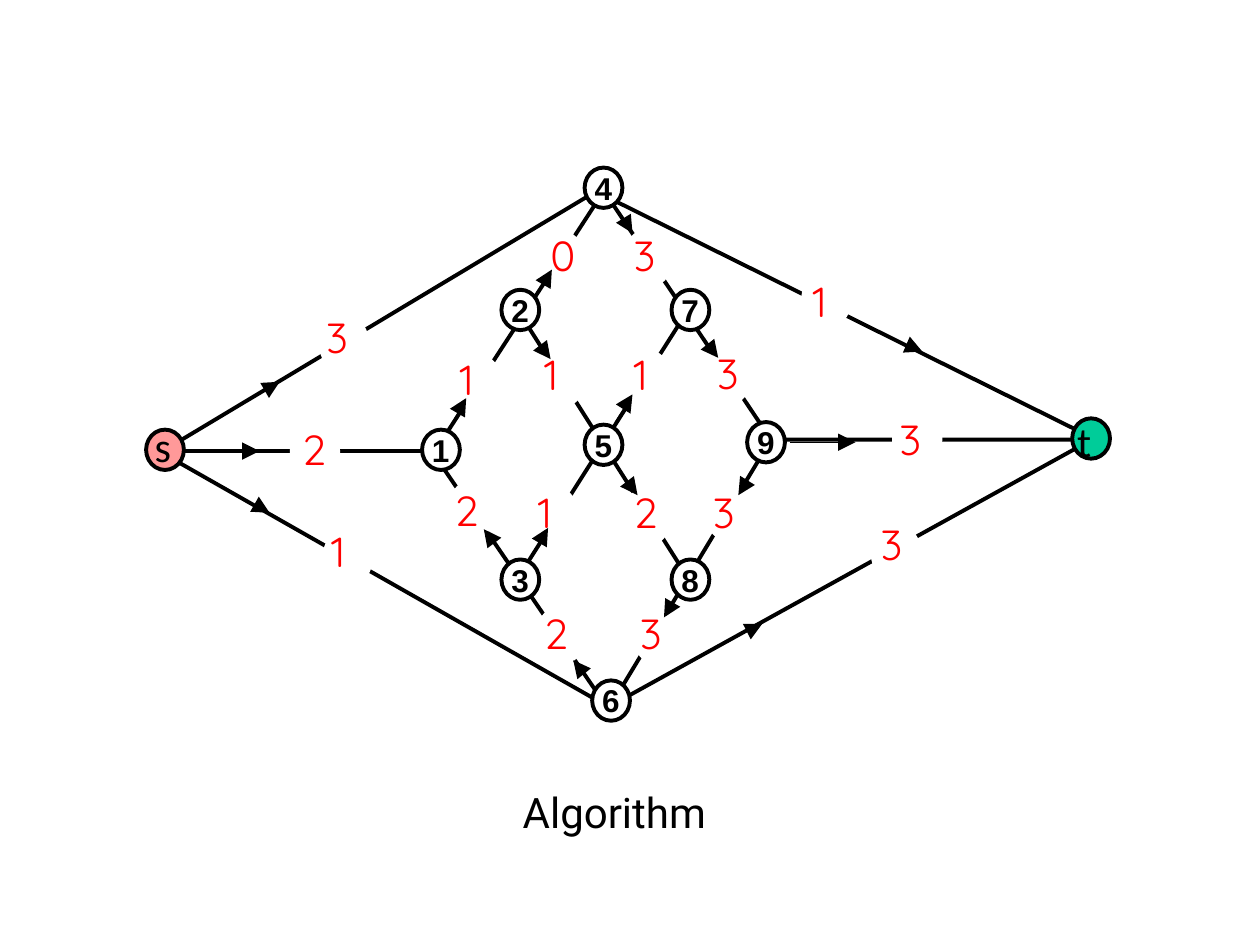
from lxml.etree import SubElement
from pptx import Presentation
from pptx.dml.color import RGBColor
from pptx.enum.shapes import MSO_CONNECTOR, MSO_SHAPE
from pptx.enum.text import MSO_AUTO_SIZE
from pptx.oxml.ns import qn
from pptx.util import Inches, Pt

BLACK = RGBColor(0x00, 0x00, 0x00)
WHITE = RGBColor(0xFF, 0xFF, 0xFF)
RED = RGBColor(0xFF, 0x00, 0x00)
PINK = RGBColor(0xFF, 0x99, 0x99)
GREEN = RGBColor(0x00, 0xCC, 0x99)

# Outline through the upper and inner edges, then the remaining straight edges.
EDGE_PATH = [(1.26, 3.6), (4.83, 1.46), (3.44, 3.6), (4.83, 5.63),
             (6.12, 3.49), (4.83, 1.57), (8.7, 3.49), (6.12, 3.49)]
EDGES = [
    (1.26, 3.58, 3.54, 3.58), (1.26, 3.58, 4.83, 5.61), (4.83, 5.61, 8.7, 3.47),
    (4.14, 2.51, 5.43, 4.54), (4.14, 4.54, 5.43, 2.51),
]
# Digit, gap left and top, label left and top, label width.
WEIGHTS = [
    ("1", 2.56, 4.19, 2.53, 4.12, 1.04), ("2", 2.3, 3.36, 2.3, 3.31, 1.04),
    ("3", 2.53, 2.49, 2.49, 2.42, 1.04), ("2", 3.55, 3.81, 3.51, 3.8, 1.04),
    ("1", 3.59, 2.81, 3.55, 2.76, 1.04), ("2", 4.25, 4.81, 4.22, 4.77, 1.04),
    ("3", 5.02, 4.81, 4.98, 4.77, 0.55), ("3", 5.59, 3.83, 5.56, 3.81, 0.55),
    ("3", 6.91, 4.15, 6.89, 4.07, 0.55), ("3", 7.08, 3.24, 7.04, 3.23, 1.04),
    ("1", 6.36, 2.14, 6.35, 2.14, 0.55), ("1", 4.93, 2.77, 4.93, 2.72, 0.55),
    ("1", 4.25, 2.77, 4.22, 2.72, 0.55), ("1", 4.19, 3.85, 4.17, 3.81, 1.04),
    ("2", 4.93, 3.87, 4.93, 3.81, 1.04), ("3", 5.57, 2.75, 5.59, 2.71, 0.55),
    ("3", 4.95, 1.81, 4.93, 1.77, 1.04), ("0", 4.25, 1.83, 4.27, 1.77, 1.04),
]
ARROWS = [
    (4, 4.41, 3.84, 4.2), (4.9, 3.72, 5.06, 3.93), (4.21, 2.64, 4.37, 2.85),
    (5.59, 2.7, 5.7, 2.84), (3.56, 3.4, 3.7, 3.16), (4.24, 2.38, 4.38, 2.14),
    (4.21, 4.43, 4.35, 4.19), (5.99, 3.72, 5.86, 3.93), (4.88, 3.35, 5.02, 3.13),
    (5.41, 4.66, 5.27, 4.9), (4.91, 1.67, 5.02, 1.85), (1.53, 3.58, 2.06, 3.58),
    (6.27, 3.51, 6.79, 3.51), (5.56, 5.2, 6.05, 4.95), (6.95, 2.63, 7.32, 2.79),
    (1.7, 3.82, 2.14, 4.07), (1.75, 3.3, 2.22, 3.03), (4.71, 5.44, 4.55, 5.24),
]
NODES = [
    ("1", 3.35, 3.41), ("2", 3.98, 2.3), ("3", 3.98, 4.44),
    ("4", 4.64, 1.33), ("5", 4.64, 3.37), ("6", 4.7, 5.4),
    ("7", 5.33, 2.3), ("8", 5.33, 4.44), ("9", 5.93, 3.35),
]
# Name, circle left and top, fill, label left and top.
TERMINALS = [("s", 1.16, 3.41, PINK, 1.13, 3.29),
             ("t", 8.51, 3.32, GREEN, 8.45, 3.25)]


class GraphSlide:
    """Holds the current slide and the style of a weighted graph."""

    edge_width = Pt(2.25)
    arrow_width = Pt(0.25)
    node_size = (0.3, 0.32)
    gap_size = (0.4, 0.47)

    def __init__(self, page):
        """Keep the shapes of the page to draw on."""
        self.shapes = page.shapes

    def outline(self, points):
        """Draw an open, unfilled line through the points."""
        (left, top), *rest = points
        builder = self.shapes.build_freeform(Inches(left), Inches(top))
        builder.add_line_segments([(Inches(x), Inches(y)) for x, y in rest],
                                  close=False)
        shape = builder.convert_to_shape()
        shape.shadow.inherit = False
        shape.fill.background()
        shape.line.color.rgb = BLACK
        shape.line.width = self.edge_width

    def edge(self, ends, arrow=False):
        """Draw a straight edge, or a thin one with an arrowhead."""
        line = self.shapes.add_connector(MSO_CONNECTOR.STRAIGHT,
                                         *(Inches(value) for value in ends))
        line.line.color.rgb = BLACK
        line.line.width = self.arrow_width if arrow else self.edge_width
        properties = line._element.spPr
        if arrow:
            SubElement(properties.find(qn("a:ln")), qn("a:tailEnd"),
                       type="triangle", w="lg", len="lg")
        SubElement(properties, qn("a:effectLst"))

    def circle(self, left, top, size, fill, outlined=True):
        """Draw a filled ellipse with or without an outline."""
        shape = self.shapes.add_shape(
            MSO_SHAPE.OVAL, *(Inches(value) for value in (left, top, *size)))
        shape.shadow.inherit = False
        shape.fill.solid()
        shape.fill.fore_color.rgb = fill
        if outlined:
            shape.line.color.rgb = BLACK
            shape.line.width = self.edge_width
        else:
            shape.line.fill.background()

    def text(self, words, place, font, size=24, color=BLACK, bold=False):
        """Add a text box with one formatted line."""
        box = self.shapes.add_textbox(*(Inches(value) for value in place))
        frame = box.text_frame
        frame.word_wrap = True
        frame.auto_size = MSO_AUTO_SIZE.SHAPE_TO_FIT_TEXT
        frame.text = words
        span = frame.paragraphs[0].runs[0]
        span.font.name = font
        span.font.size = Pt(size)
        span.font.bold = bold
        span.font.color.rgb = color

    def weight(self, digit, gap_left, gap_top, left, top, width):
        """Break an edge with a white gap and write its weight there."""
        self.circle(gap_left, gap_top, self.gap_size, WHITE, outlined=False)
        self.text(digit, (left, top, width, 0.5), "Quicksand", color=RED)

    def node(self, name, left, top):
        """Draw a numbered inner node."""
        self.circle(left, top, self.node_size, WHITE)
        self.text(name, (left - 0.02, top - 0.04, 0.79, 0.4), "Arial", 18,
                  bold=True)

    def terminal(self, name, left, top, fill, text_left, text_top):
        """Draw the coloured source or sink node."""
        self.circle(left, top, self.node_size, fill)
        self.text(name, (text_left, text_top, 0.54, 0.5), "Calibri")


def main():
    """Build the graph slide and save the deck."""
    deck = Presentation()
    deck.slide_width, deck.slide_height = Inches(10), Inches(7.5)
    graph = GraphSlide(deck.slides.add_slide(deck.slide_layouts[6]))
    graph.outline(EDGE_PATH)
    for ends in EDGES:
        graph.edge(ends)
    for weight in WEIGHTS:
        graph.weight(*weight)
    for ends in ARROWS:
        graph.edge(ends, arrow=True)
    for terminal in TERMINALS:
        graph.terminal(*terminal)
    for node in NODES:
        graph.node(*node)
    graph.text("Algorithm", (4.05, 6.19, 2.3, 0.5), "Roboto")
    deck.save("out.pptx")


main()
